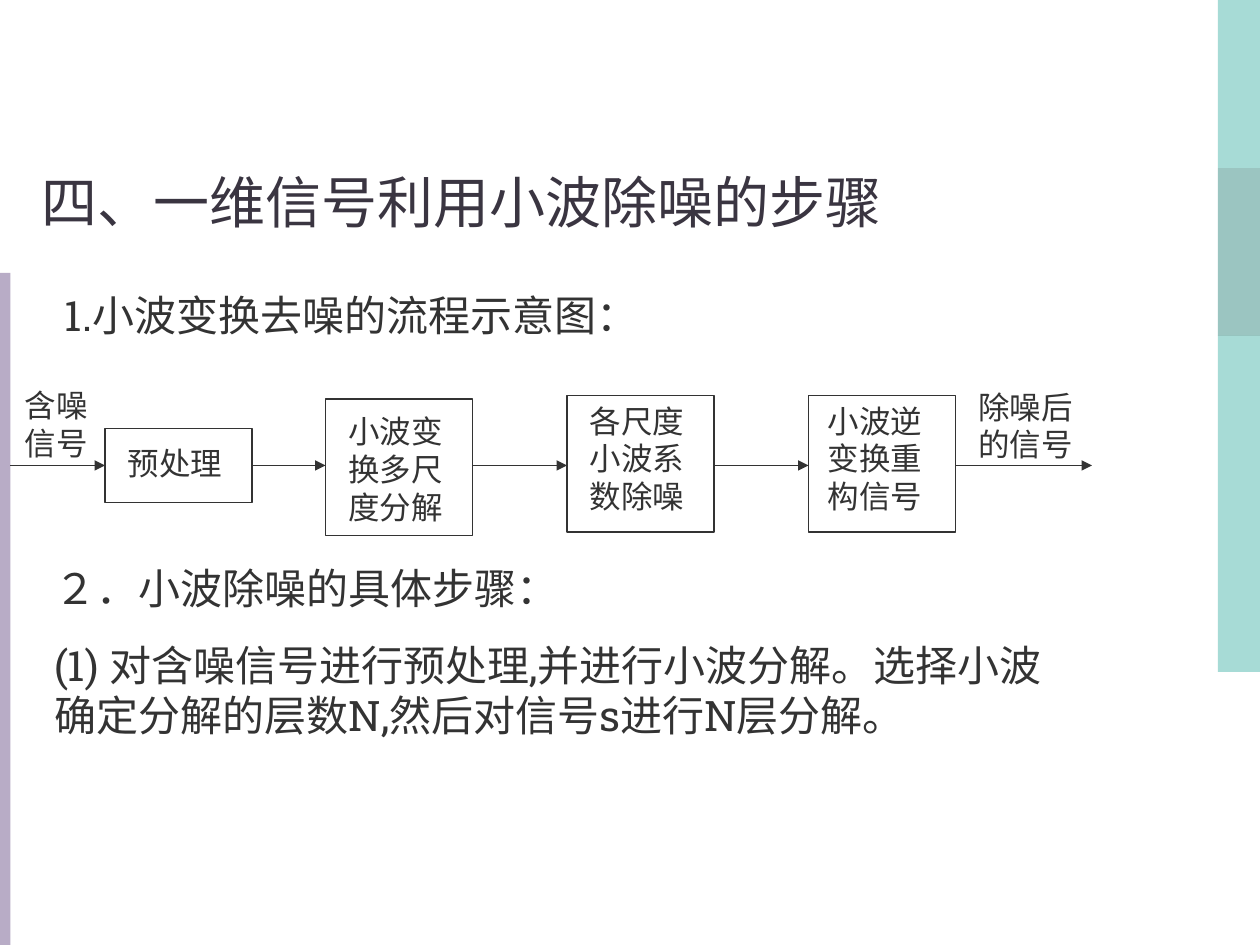
from pptx import Presentation
from pptx.dml.color import RGBColor
from pptx.enum.shapes import MSO_CONNECTOR, MSO_SHAPE
from pptx.enum.text import MSO_ANCHOR, MSO_AUTO_SIZE, PP_ALIGN
from pptx.oxml.ns import qn
from pptx.util import Pt
from lxml import etree

RECTANGLE = MSO_SHAPE.RECTANGLE
STRAIGHT = MSO_CONNECTOR.STRAIGHT
BOTTOM, TOP = MSO_ANCHOR.BOTTOM, MSO_ANCHOR.TOP
CENTER, LEFT = PP_ALIGN.CENTER, PP_ALIGN.LEFT
FIXED, GROW = MSO_AUTO_SIZE.NONE, MSO_AUTO_SIZE.SHAPE_TO_FIT_TEXT

INK, TITLE_INK, WHITE = "333333", "3A3541", "FFFFFF"
TEAL, DARK_TEAL, LILAC = "51B9AF", "398D85", "B8ACC6"

BAND_HEIGHT = 96
STAGE_WIDTH = 84
FLOW_AXIS = 266
# Box left, top, height; label left, top, width, height; wording
STAGES = [
    ((60, 245, 42), (66, 250, 78, 29), "预处理"),
    ((186, 228, 78), (192, 232, 72, 72), "小波变换多尺度分解"),
    ((324, 226, 78), (330, 226, 78, 72), "各尺度小波系数除噪"),
    ((462, 226, 78), (466, 226, 84, 72), "小波逆变换重构信号"),
]
FLOW_START, FLOW_END = 6, 624


def color(hex_string):
    return RGBColor.from_string(hex_string)


def apply(target, values):
    for name, value in values.items():
        setattr(target, name, value)


class SlideBuilder:
    font_name = "Roboto Slab"
    line_width = 0.75

    def __init__(self, presentation, layout):
        self.slide = presentation.slides.add_slide(layout)

    def fill_frame(self, frame, paragraphs, size, ink, space_before=0,
                   align=LEFT, anchor=TOP, auto_size=GROW):
        apply(frame, {"word_wrap": True, "auto_size": auto_size,
                      "vertical_anchor": anchor})
        for index, text in enumerate(paragraphs):
            paragraph = frame.add_paragraph() if index else frame.paragraphs[0]
            apply(paragraph, {"alignment": align,
                              "space_before": Pt(space_before)})
            run = paragraph.add_run()
            run.text = text
            apply(run.font, {"name": self.font_name, "size": Pt(size)})
            run.font.color.rgb = color(ink)

    def title(self, text, left, top, width, height):
        title = self.slide.shapes.title
        apply(title, {"left": Pt(left), "top": Pt(top),
                      "width": Pt(width), "height": Pt(height)})
        self.fill_frame(title.text_frame, [text], 32, TITLE_INK,
                        align=CENTER, anchor=BOTTOM, auto_size=FIXED)

    def text(self, paragraphs, left, top, width, height, size=18,
             space_before=11.2):
        box = self.slide.shapes.add_textbox(
            Pt(left), Pt(top), Pt(width), Pt(height))
        self.fill_frame(box.text_frame, paragraphs, size, INK, space_before)

    def rectangle(self, left, top, width, height, fill, line=None, opacity=100):
        shape = self.slide.shapes.add_shape(
            RECTANGLE, Pt(left), Pt(top), Pt(width), Pt(height))
        shape.shadow.inherit = False
        shape.fill.solid()
        shape.fill.fore_color.rgb = color(fill)
        if opacity < 100:
            solid_fill = shape._element.spPr.find(qn("a:solidFill"))
            etree.SubElement(solid_fill[0], qn("a:alpha"),
                             val=str(opacity * 1000))
        if line:
            shape.line.color.rgb = color(line)
            shape.line.width = Pt(self.line_width)
        else:
            shape.line.fill.background()

    def arrow(self, start, end, y):
        connector = self.slide.shapes.add_connector(
            STRAIGHT, Pt(start), Pt(y), Pt(end), Pt(y))
        connector.line.color.rgb = color(INK)
        connector.line.width = Pt(self.line_width)
        properties = connector._element.spPr
        etree.SubElement(properties.find(qn("a:ln")), qn("a:tailEnd"),
                         type="triangle")
        etree.SubElement(properties, qn("a:effectLst"))


def main():
    presentation = Presentation()
    apply(presentation, {"slide_width": Pt(720), "slide_height": Pt(540)})
    title_only = presentation.slide_layouts[5]
    builder = SlideBuilder(presentation, title_only)

    for row, fill in enumerate([TEAL, DARK_TEAL, TEAL, TEAL]):
        builder.rectangle(696, row * BAND_HEIGHT, 24, BAND_HEIGHT, fill,
                          opacity=50)
    builder.rectangle(0, 156, 6, 384, LILAC)

    builder.title("四、一维信号利用小波除噪的步骤", -42, 48, 612, 90)
    builder.text(["1.小波变换去噪的流程示意图："], 30, 162, 600, 36,
                 size=24, space_before=15)

    arrow_start = FLOW_START
    for (left, top, height), label, wording in STAGES:
        builder.rectangle(left, top, STAGE_WIDTH, height, WHITE, line=INK)
        builder.text([wording], *label)
        builder.arrow(arrow_start, left, FLOW_AXIS)
        arrow_start = left + STAGE_WIDTH
    builder.arrow(arrow_start, FLOW_END, FLOW_AXIS)
    builder.text(["含噪信号"], 7, 217, 60, 50)
    builder.text(["除噪后的信号"], 552, 218, 84, 50)

    builder.text(
        ["２．小波除噪的具体步骤：",
         "(1) 对含噪信号进行预处理,并进行小波分解。"
         "选择小波确定分解的层数N,然后对信号s进行N层分解。"],
        24, 318, 582, 109, size=24, space_before=15)

    presentation.save("out.pptx")


if __name__ == "__main__":
    main()
